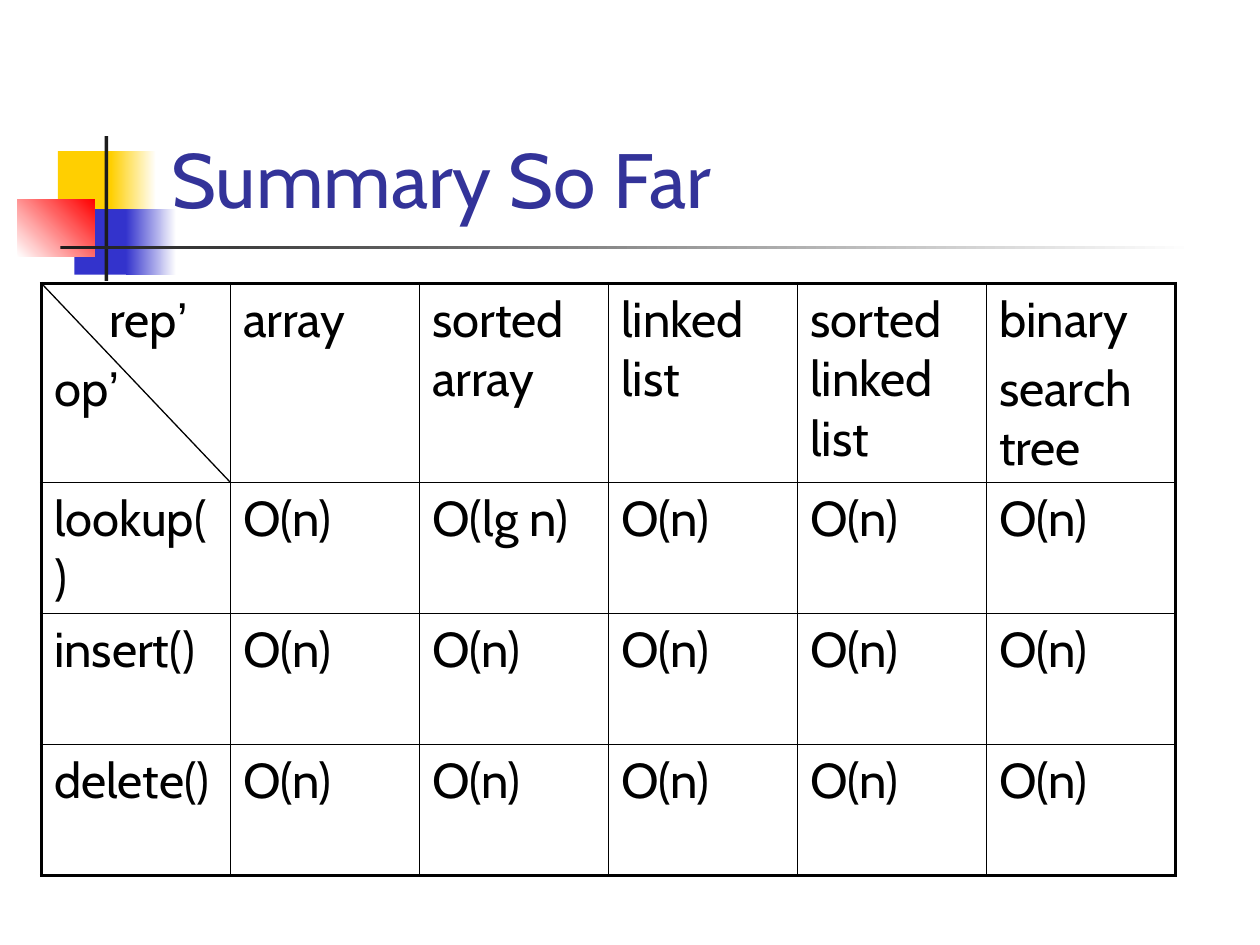
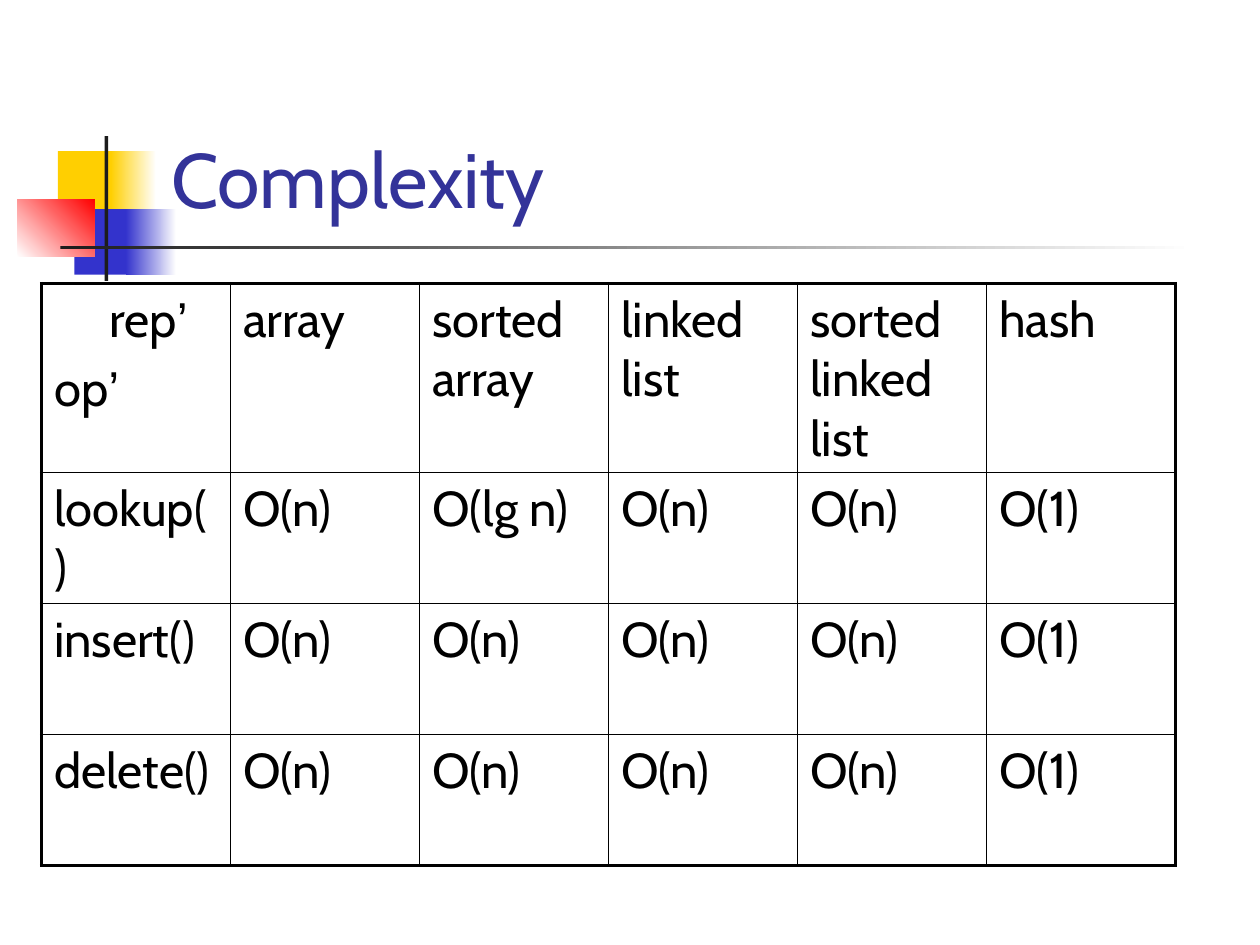
import dataclasses

import lxml.etree
import pptx
import pptx.dml.color
import pptx.enum.shapes
import pptx.enum.text
import pptx.oxml.ns
import pptx.util

Inches = pptx.util.Inches
Pt = pptx.util.Pt
qn = pptx.oxml.ns.qn


@dataclasses.dataclass(frozen=True)
class Theme:
    yellow: str = "FFCF01"
    blue: str = "3333CC"
    red: str = "FF0000"
    white: str = "FFFFFF"
    rule: str = "1C1C1C"
    title: str = "333399"
    ink: str = "000000"
    font: str = "Cabin"
    quote_font: str = "Arial"
    title_size: float = 44
    cell_size: float = 28
    cell_gap: float = 5.6
    outer_border: float = 2.25
    inner_border: float = 1
    diagonal: float = 0.75


def rgb(colour):
    return pptx.dml.color.RGBColor.from_string(colour)


class Deck:
    def __init__(self, theme):
        self.theme = theme
        self.presentation = pptx.Presentation()
        self.presentation.slide_width = Inches(10)
        self.presentation.slide_height = Inches(7.5)
        self.slide = None

    def new_slide(self, heading):
        self.slide = self.presentation.slides.add_slide(self.presentation.slide_layouts[6])
        self.decoration()
        self.title(heading)

    def decoration(self):
        theme = self.theme
        self.block(0.46, 1.2, 0.48, 0.52, theme.yellow)
        self.block(0.88, 1.2, 0.36, 0.52, theme.yellow, theme.white)
        self.block(0.59, 1.66, 0.46, 0.52, theme.blue)
        self.block(1, 1.66, 0.4, 0.52, theme.blue, theme.white)
        self.block(0.14, 1.58, 0.61, 0.46, theme.white, theme.red, angle=45)
        self.block(0.83, 1.08, 0.03, 1.15, theme.rule)
        self.block(0.48, 1.95, 9, 0.03, theme.rule, theme.white)

    def block(self, left, top, width, height, colour, fade_to=None, angle=0):
        block = self.slide.shapes.add_shape(
            pptx.enum.shapes.MSO_SHAPE.RECTANGLE,
            Inches(left), Inches(top), Inches(width), Inches(height))
        block.shadow.inherit = False
        block.line.fill.background()
        if fade_to is None:
            block.fill.solid()
            block.fill.fore_color.rgb = rgb(colour)
            return
        block.fill.gradient()
        block.fill.gradient_angle = angle
        for stop, stop_colour in zip(block.fill.gradient_stops, (colour, fade_to)):
            stop.color.rgb = rgb(stop_colour)

    def style_run(self, run, size, colour, font=None):
        run.font.name = font or self.theme.font
        run.font.size = Pt(size)
        run.font.color.rgb = rgb(colour)

    def title(self, heading):
        title = self.slide.shapes.add_textbox(Inches(1.26), Inches(0.23), Inches(8.52), Inches(1.6))
        frame = title.text_frame
        frame.word_wrap = True
        frame.vertical_anchor = pptx.enum.text.MSO_ANCHOR.BOTTOM
        frame.text = heading
        self.style_run(frame.paragraphs[0].runs[0], self.theme.title_size, self.theme.title)

    def table(self, rows):
        column_width, row_heights = 1.5, (1.12, 1.04, 1.04, 1.04)
        row_count, column_count = len(rows), len(rows[0])
        table = self.slide.shapes.add_table(
            row_count, column_count, Inches(0.33), Inches(2.25),
            Inches(column_width * column_count), Inches(sum(row_heights))).table
        table.first_row = False
        table.horz_banding = False
        for row, height in zip(table.rows, row_heights):
            row.height = Inches(height)
        for row_index, texts in enumerate(rows):
            for column_index, text in enumerate(texts):
                cell = table.cell(row_index, column_index)
                self.cell_text(cell, text)
                self.cell_borders(cell, {
                    "a:lnL": column_index == 0,
                    "a:lnR": column_index == column_count - 1,
                    "a:lnT": row_index == 0,
                    "a:lnB": row_index == row_count - 1})
                cell.fill.background()
        corner = table.cell(0, 0).text_frame.paragraphs[0]
        corner._p.get_or_add_pPr().set("marL", str(Inches(0.44)))

    def cell_text(self, cell, text):
        theme = self.theme
        cell.text_frame.text = text
        for paragraph in cell.text_frame.paragraphs:
            paragraph.space_before = Pt(theme.cell_gap)
            word = paragraph.runs[0]
            self.style_run(word, theme.cell_size, theme.ink)
            if word.text.endswith("’"):
                word.text = word.text[:-1]
                quote = paragraph.add_run()
                quote.text = "’"
                self.style_run(quote, theme.cell_size, theme.ink, theme.quote_font)

    def cell_borders(self, cell, sides):
        properties = cell._tc.get_or_add_tcPr()
        for side, is_outer in sides.items():
            width = self.theme.outer_border if is_outer else self.theme.inner_border
            border = lxml.etree.SubElement(properties, qn(side), w=str(Pt(width)))
            fill = lxml.etree.SubElement(border, qn("a:solidFill"))
            lxml.etree.SubElement(fill, qn("a:srgbClr"), val=self.theme.ink)

    def line(self, start_x, start_y, end_x, end_y):
        line = self.slide.shapes.add_connector(
            pptx.enum.shapes.MSO_CONNECTOR.STRAIGHT,
            Inches(start_x), Inches(start_y), Inches(end_x), Inches(end_y))
        line.line.color.rgb = rgb(self.theme.ink)
        line.line.width = Pt(self.theme.diagonal)
        lxml.etree.SubElement(line._element.spPr, qn("a:effectLst"))


def complexity_rows(structure, cost):
    return [
        ["rep’\nop’", "array", "sorted array", "linked list", "sorted linked list", structure],
        ["lookup()", "O(n)", "O(lg n)", "O(n)", "O(n)", cost],
        *([operation] + ["O(n)"] * 4 + [cost] for operation in ("insert()", "delete()")),
    ]


def main():
    deck = Deck(Theme())

    deck.new_slide("Summary So Far")
    deck.table(complexity_rows("binary\nsearch tree", "O(n)"))
    deck.line(0.33, 2.25, 1.83, 3.83)

    deck.new_slide("Complexity")
    deck.table(complexity_rows("hash", "O(1)"))

    deck.presentation.save("out.pptx")


if __name__ == "__main__":
    main()
